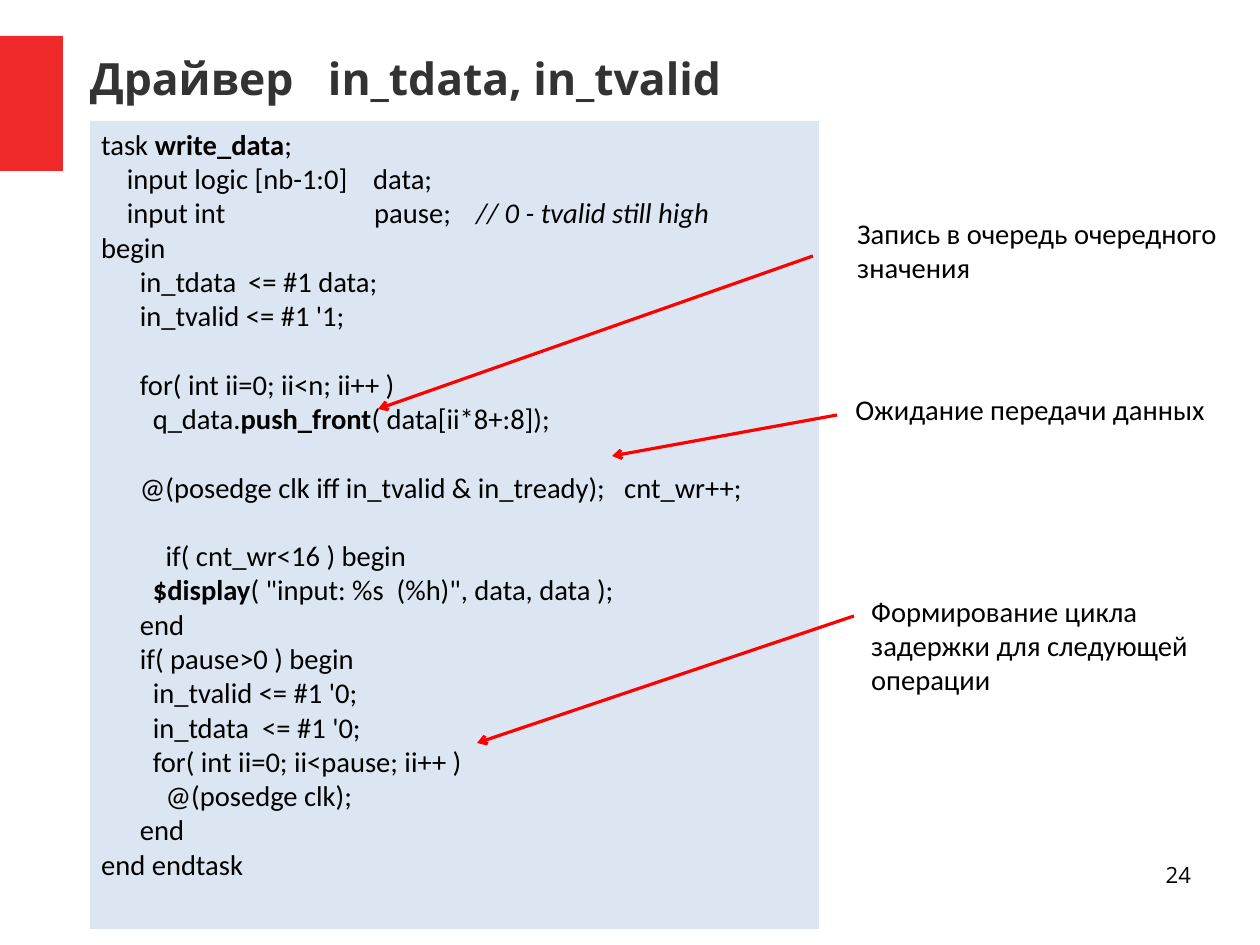
"""Builds the slide that explains the write_data driver task."""
from dataclasses import dataclass

from lxml.etree import SubElement
from pptx import Presentation
from pptx.dml.color import RGBColor
from pptx.enum.shapes import MSO_CONNECTOR, MSO_SHAPE
from pptx.enum.text import MSO_ANCHOR, PP_ALIGN
from pptx.oxml.ns import qn
from pptx.util import Emu, Pt

EMU_PER_PX = 8000
RED_BLOCK = RGBColor(0xEF, 0x29, 0x29)
CODE_FILL = RGBColor(0xDC, 0xE6, 0xF2)
ARROW_RED = RGBColor(0xFF, 0x00, 0x00)
TITLE_GREY = RGBColor(0x33, 0x33, 0x33)
BLACK = RGBColor(0x00, 0x00, 0x00)
CODE_SIZE = 18
BLANK_LINE = Pt(21.6)


@dataclass(frozen=True)
class Box:
    left: int
    top: int
    width: int
    height: int


@dataclass(frozen=True)
class CodeLine:
    text: str
    bold: str = ""
    italic: str = ""
    tabs: tuple[int, ...] = ()
    gap_before: bool = False


@dataclass(frozen=True)
class Callout:
    lines: tuple[str, ...]
    box: Box
    start: tuple[int, int]
    target: tuple[int, int]


CODE = (
    CodeLine("task write_data;", bold="write_data"),
    CodeLine("    input logic [nb-1:0]\tdata;", tabs=(272,)),
    CodeLine("    input int\tpause;\t// 0 - tvalid still high",
             italic="// 0 - tvalid still high", tabs=(273, 375)),
    CodeLine("begin"),
    CodeLine("      in_tdata\t<= #1 data;", tabs=(147,)),
    CodeLine("      in_tvalid <= #1 '1;"),
    CodeLine("      for( int ii=0; ii<n; ii++ )", gap_before=True),
    CodeLine("        q_data.push_front( data[ii*8+:8]);", bold="push_front"),
    CodeLine("      @(posedge clk iff in_tvalid & in_tready);\tcnt_wr++;",
             tabs=(523,), gap_before=True),
    CodeLine("          if( cnt_wr<16 ) begin", gap_before=True),
    CodeLine('        $display( "input: %s  (%h)", data, data );', bold="$display"),
    CodeLine("      end"),
    CodeLine("      if( pause>0 ) begin"),
    CodeLine("        in_tvalid <= #1 '0;"),
    CodeLine("        in_tdata\t<= #1 '0;", tabs=(161,)),
    CodeLine("        for( int ii=0; ii<pause; ii++ )"),
    CodeLine("          @(posedge clk);"),
    CodeLine("      end"),
    CodeLine("end endtask"),
)

CALLOUTS = (
    Callout(("Запись в очередь очередного", "значения"),
            Box(846, 210, 393, 81), (813, 256), (378, 409)),
    Callout(("Ожидание передачи данных",),
            Box(844, 386, 383, 46), (837, 415), (612, 456)),
    Callout(("Формирование цикла", "задержки для следующей операции"),
            Box(860, 588, 360, 115), (854, 616), (477, 743)),
)


def px(length: int) -> Emu:
    """Turn px into EMU."""
    return Emu(length * EMU_PER_PX)


def frame_of(box: Box) -> tuple[Emu, Emu, Emu, Emu]:
    """Return the place of a box in EMU."""
    return px(box.left), px(box.top), px(box.width), px(box.height)


def style(run, size: int, family: str = "Calibri", color: RGBColor = BLACK,
          bold: bool = False, italic: bool = False) -> None:
    """Set the font of one run."""
    font = run.font
    font.size, font.name, font.bold, font.italic = Pt(size), family, bold, italic
    font.color.rgb = color


def set_tabs(paragraph, stops: tuple[int, ...]) -> None:
    """Give a paragraph left tab stops."""
    if stops:
        tab_list = SubElement(paragraph._p.get_or_add_pPr(), qn("a:tabLst"))
        for stop in stops:
            SubElement(tab_list, qn("a:tab"), pos=str(px(stop)), algn="l")


def add_panel(slide, box: Box, fill: RGBColor):
    """Draw a plain filled rectangle."""
    panel = slide.shapes.add_shape(MSO_SHAPE.RECTANGLE, *frame_of(box))
    panel.shadow.inherit = False
    panel.fill.solid()
    panel.fill.fore_color.rgb = fill
    panel.line.fill.background()
    return panel


def add_text(slide, box: Box, lines: tuple[str, ...], size: int,
             family: str = "Calibri", color: RGBColor = BLACK, bold: bool = False):
    """Add a wrapping text box with one style and return its frame."""
    frame = slide.shapes.add_textbox(*frame_of(box)).text_frame
    frame.word_wrap = True
    frame.text = "\n".join(lines)
    for paragraph in frame.paragraphs:
        for run in paragraph.runs:
            style(run, size, family, color, bold)
    return frame


def clear_margins(frame) -> None:
    """Remove the inner margins of a text frame."""
    frame.margin_left = frame.margin_right = frame.margin_top = frame.margin_bottom = 0


def write_code(frame, listing: tuple[CodeLine, ...]) -> None:
    """Write the code lines with their emphasis."""
    frame.word_wrap = True
    frame.vertical_anchor = MSO_ANCHOR.TOP
    for number, line in enumerate(listing):
        paragraph = frame.add_paragraph() if number else frame.paragraphs[0]
        set_tabs(paragraph, line.tabs)
        paragraph.alignment = PP_ALIGN.LEFT
        if line.gap_before:
            paragraph.space_before = BLANK_LINE
        emphasis = line.bold or line.italic
        pieces = line.text.partition(emphasis) if emphasis else (line.text,)
        for piece in filter(None, pieces):
            run = paragraph.add_run()
            run.text = piece
            style(run, CODE_SIZE, bold=piece == line.bold, italic=piece == line.italic)


def add_arrow(slide, start: tuple[int, int], target: tuple[int, int]) -> None:
    """Draw a red arrow from a callout to the code."""
    arrow = slide.shapes.add_connector(
        MSO_CONNECTOR.STRAIGHT, *map(px, start), *map(px, target))
    arrow.line.color.rgb = ARROW_RED
    arrow.line.width = Pt(2)
    SubElement(arrow.line._get_or_add_ln(), qn("a:tailEnd"), type="arrow")
    SubElement(arrow._element.spPr, qn("a:effectLst"))


def main() -> None:
    """Build and save the slide."""
    deck = Presentation()
    deck.slide_width, deck.slide_height = px(1260), px(945)
    slide = deck.slides.add_slide(deck.slide_layouts[6])

    add_panel(slide, Box(0, 36, 63, 135), RED_BLOCK)
    page_number = add_text(slide, Box(903, 861, 288, 65), ("24",), 14, "Open Sans")
    clear_margins(page_number)
    page_number.paragraphs[0].alignment = PP_ALIGN.RIGHT

    title = add_text(slide, Box(90, 51, 1106, 54), ("Драйвер\tin_tdata, in_tvalid",),
                     28, "Open Sans", TITLE_GREY, bold=True)
    clear_margins(title)
    title.vertical_anchor = MSO_ANCHOR.MIDDLE
    set_tabs(title.paragraphs[0], (238,))

    code_panel = add_panel(slide, Box(90, 121, 729, 808), CODE_FILL)
    write_code(code_panel.text_frame, CODE)
    for callout in CALLOUTS:
        add_arrow(slide, callout.start, callout.target)
        add_text(slide, callout.box, callout.lines, CODE_SIZE)

    deck.save("out.pptx")


if __name__ == "__main__":
    main()
